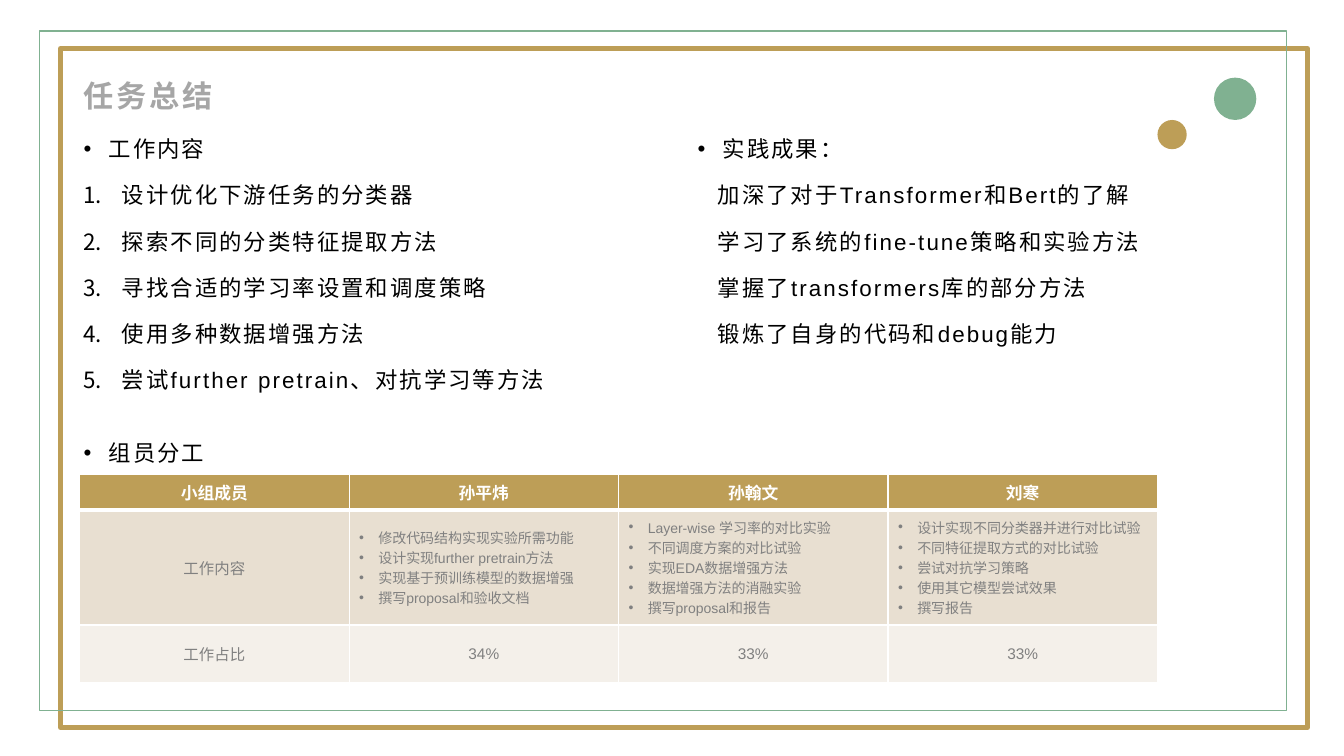
import dataclasses
import typing

import lxml.etree
import pptx
import pptx.dml.color
import pptx.enum.lang
import pptx.enum.shapes
import pptx.enum.text
import pptx.oxml.ns
import pptx.util

Inches = pptx.util.Inches
Shape = pptx.enum.shapes.MSO_SHAPE
Align = pptx.enum.text.PP_ALIGN
Anchor = pptx.enum.text.MSO_ANCHOR


@dataclasses.dataclass(frozen=True)
class Theme:
    font: str = "Arial"
    gold: str = "BD9E57"
    green: str = "80B191"
    white: str = "FFFFFF"
    black: str = "000000"
    title_gray: str = "A6A6A6"
    cell_gray: str = "808080"
    sand: str = "E8DFD1"
    pale: str = "F4F0EA"
    title_size: float = 21.6
    body_size: float = 16
    header_size: float = 12
    label_size: float = 11
    duty_size: float = 10


class Box(typing.NamedTuple):
    left: float
    top: float
    width: float
    height: float

    def lengths(self) -> list:
        return [Inches(value) for value in self]


class Decoration(typing.NamedTuple):
    preset: Shape
    box: Box
    color: str
    line_width: float = 0


class ListStyle(typing.NamedTuple):
    indent: float = 0
    hanging: float = 0
    bullet: str = ""


class TextBlock(typing.NamedTuple):
    box: Box
    heading: str
    lines: tuple = ()
    style: ListStyle = ListStyle()
    line_spacing: float = 1.2


class Member(typing.NamedTuple):
    name: str
    duties: tuple
    share: str


THEME = Theme()
HEADING = ListStyle(0.25, 0.25, "•")
NUMBERED = ListStyle(0.38, 0.38, "1.")
INDENTED = ListStyle(0.2)
DUTY = ListStyle(0.19, 0.19, "•")

DECORATIONS = (
    Decoration(Shape.RECTANGLE, Box(0.6, 0.48, 12.37, 6.74), THEME.gold, 3.25),
    Decoration(Shape.RECTANGLE, Box(0.39, 0.31, 12.37, 6.74), THEME.green, 1),
    Decoration(Shape.OVAL, Box(11.48, 1.19, 0.29, 0.29), THEME.gold),
    Decoration(Shape.OVAL, Box(12.04, 0.77, 0.42, 0.42), THEME.green),
)
TITLE_BOX = Box(0.73, 0.71, 11.87, 0.48)
TEXT_BLOCKS = (
    TextBlock(Box(0.73, 1.24, 5.78, 2.71), "工作内容", (
        "设计优化下游任务的分类器",
        "探索不同的分类特征提取方法",
        "寻找合适的学习率设置和调度策略",
        "使用多种数据增强方法",
        "尝试further pretrain、对抗学习等方法",
    ), NUMBERED),
    TextBlock(Box(6.82, 1.24, 5.78, 3.19), "实践成果：", (
        "加深了对于Transformer和Bert的了解",
        "学习了系统的fine-tune策略和实验方法",
        "掌握了transformers库的部分方法",
        "锻炼了自身的代码和debug能力",
    ), INDENTED),
    TextBlock(Box(0.73, 4.23, 5.78, 2.71), "组员分工", line_spacing=1.3),
)
TABLE_BOX = Box(0.79, 4.71, 10.69, 2.06)
ROW_HEIGHTS = (0.35, 1.14, 0.57)
ROW_FILLS = (THEME.gold, THEME.sand, THEME.pale)
ROW_LABELS = ("小组成员", "工作内容", "工作占比")
MEMBERS = (
    Member("孙平炜", (
        "修改代码结构实现实验所需功能",
        "设计实现further pretrain方法",
        "实现基于预训练模型的数据增强",
        "撰写proposal和验收文档",
    ), "34%"),
    Member("孙翰文", (
        "Layer-wise 学习率的对比实验",
        "不同调度方案的对比试验",
        "实现EDA数据增强方法",
        "数据增强方法的消融实验",
        "撰写proposal和报告",
    ), "33%"),
    Member("刘寒", (
        "设计实现不同分类器并进行对比试验",
        "不同特征提取方式的对比试验",
        "尝试对抗学习策略",
        "使用其它模型尝试效果",
        "撰写报告",
    ), "33%"),
)


def rgb(color: str) -> pptx.dml.color.RGBColor:
    return pptx.dml.color.RGBColor.from_string(color)


def add_child(parent, tag: str, **attributes: str):
    return lxml.etree.SubElement(parent, pptx.oxml.ns.qn(tag), attributes)


def write_text(frame, lines: typing.Iterable[str], *, size: float, color: str,
               bold: bool = False, align: Align = Align.LEFT, tracking: float = 0,
               line_spacing: float = 1, space_after: float = 0,
               style: ListStyle = ListStyle()) -> None:
    for line in lines:
        paragraph = frame.paragraphs[-1]
        if paragraph.runs:
            paragraph = frame.add_paragraph()
        paragraph.alignment = align
        paragraph.line_spacing = line_spacing
        paragraph.space_after = pptx.util.Pt(space_after)
        properties = paragraph._p.get_or_add_pPr()
        properties.set("marL", str(Inches(style.indent)))
        properties.set("indent", str(-Inches(style.hanging)))
        if style.bullet == "1.":
            add_child(properties, "a:buAutoNum", type="arabicPeriod")
        elif style.bullet:
            add_child(properties, "a:buFont", typeface=THEME.font)
            add_child(properties, "a:buChar", char=style.bullet)
        run = paragraph.add_run()
        run.text = line
        run.font.name = THEME.font
        run.font.size = pptx.util.Pt(size)
        run.font.bold = bold
        run.font.color.rgb = rgb(color)
        run.font.language_id = pptx.enum.lang.MSO_LANGUAGE_ID.SIMPLIFIED_CHINESE
        run._r.get_or_add_rPr().set("spc", str(round(tracking * 100)))


def add_decoration(slide, decoration: Decoration) -> None:
    shape = slide.shapes.add_shape(decoration.preset, *decoration.box.lengths())
    shape.shadow.inherit = False
    if decoration.line_width:
        shape.fill.background()
        shape.line.color.rgb = rgb(decoration.color)
        shape.line.width = pptx.util.Pt(decoration.line_width)
    else:
        shape.fill.solid()
        shape.fill.fore_color.rgb = rgb(decoration.color)
        shape.line.fill.background()


def add_frame(slide, box: Box, anchor: Anchor = Anchor.TOP):
    frame = slide.shapes.add_textbox(*box.lengths()).text_frame
    frame.word_wrap = True
    frame.vertical_anchor = anchor
    return frame


def add_text_block(slide, block: TextBlock) -> None:
    frame = add_frame(slide, block.box)
    for lines, style in (((block.heading,), HEADING), (block.lines, block.style)):
        write_text(frame, lines, size=THEME.body_size, color=THEME.black, tracking=1.5,
                   line_spacing=block.line_spacing, space_after=10, style=style)


def format_cell(cell, fill: str, borders: dict[str, float]) -> None:
    cell.vertical_anchor = Anchor.MIDDLE
    properties = cell._tc.get_or_add_tcPr()
    for side, width in borders.items():
        line = add_child(properties, f"a:ln{side}", w=str(pptx.util.Pt(width)))
        add_child(add_child(line, "a:solidFill"), "a:srgbClr", val=THEME.white)
    cell.fill.solid()
    cell.fill.fore_color.rgb = rgb(fill)


def add_member_table(slide) -> None:
    columns = (ROW_LABELS, *MEMBERS)
    table = slide.shapes.add_table(len(ROW_LABELS), len(columns), *TABLE_BOX.lengths()).table
    for row, height in zip(table.rows, ROW_HEIGHTS):
        row.height = Inches(height)
    for column_index, values in enumerate(columns):
        table.columns[column_index].width = Inches(TABLE_BOX.width / len(columns))
        for row_index, value in enumerate(values):
            cell = table.cell(row_index, column_index)
            header = row_index == 0
            borders = {"L": 1, "R": 1, "T": 3 if row_index == 1 else 1, "B": 3 if header else 1}
            format_cell(cell, ROW_FILLS[row_index], borders)
            if isinstance(value, tuple):
                write_text(cell.text_frame, value, size=THEME.duty_size,
                           color=THEME.cell_gray, style=DUTY)
            else:
                write_text(cell.text_frame, (value,), bold=header, align=Align.CENTER,
                           size=THEME.header_size if header else THEME.label_size,
                           color=THEME.white if header else THEME.cell_gray)


def main() -> None:
    presentation = pptx.Presentation()
    presentation.slide_width, presentation.slide_height = Inches(13.33), Inches(7.5)
    slide = presentation.slides.add_slide(presentation.slide_layouts[6])
    for decoration in DECORATIONS:
        add_decoration(slide, decoration)
    write_text(add_frame(slide, TITLE_BOX, Anchor.MIDDLE), ("任务总结",), bold=True,
               size=THEME.title_size, color=THEME.title_gray, tracking=2)
    for block in TEXT_BLOCKS:
        add_text_block(slide, block)
    add_member_table(slide)
    presentation.save("out.pptx")


if __name__ == "__main__":
    main()
